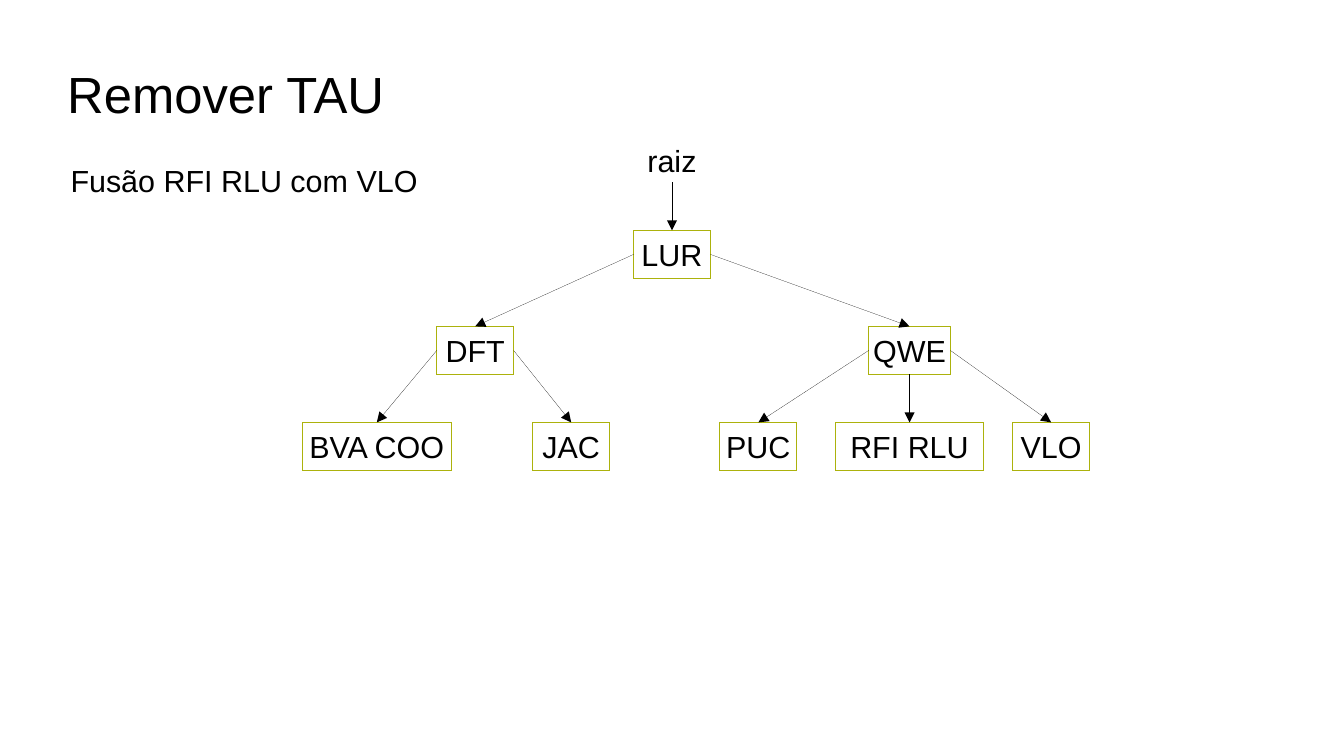
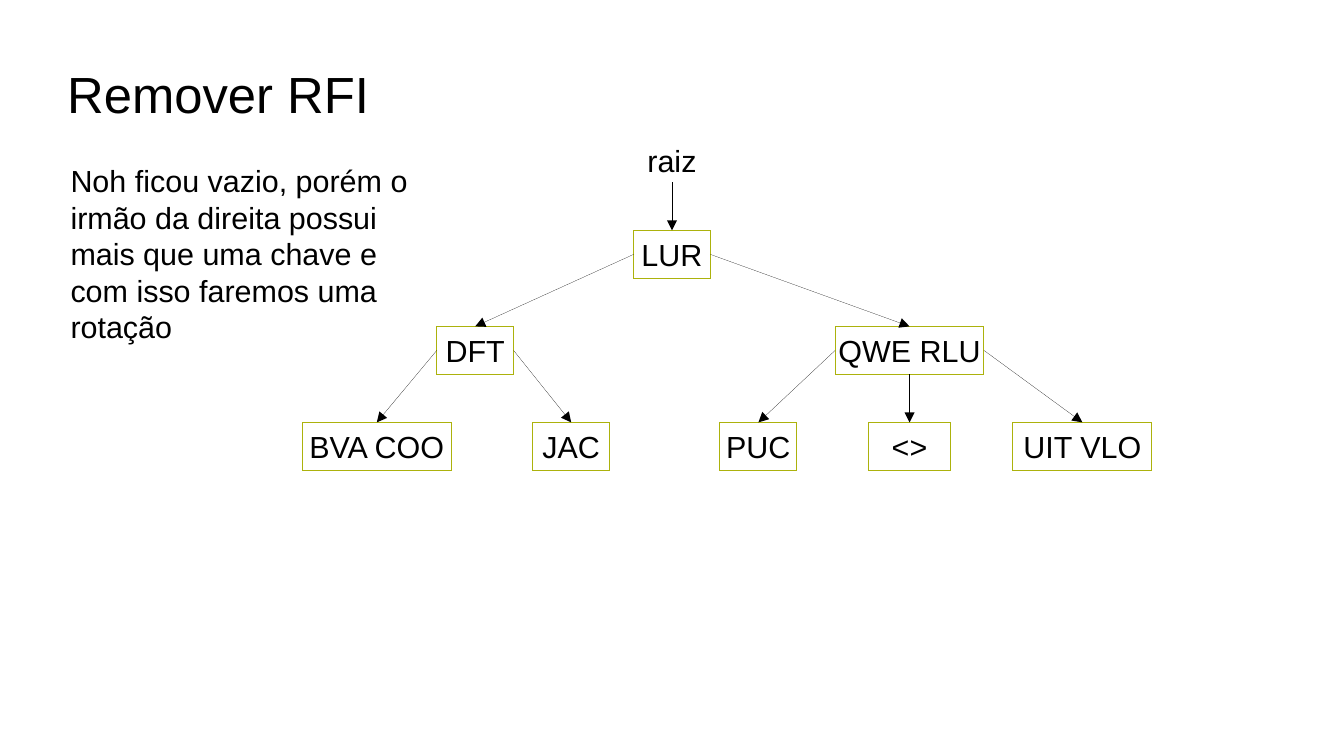
from dataclasses import dataclass

import lxml.etree
import pptx
import pptx.dml.color
import pptx.enum.shapes
import pptx.enum.text
import pptx.oxml.ns
import pptx.presentation
import pptx.shapes.autoshape
import pptx.slide
import pptx.text.text
import pptx.util

Cm = pptx.util.Cm
Alignment = pptx.enum.text.PP_ALIGN
Anchor = pptx.enum.text.MSO_ANCHOR
AutoSize = pptx.enum.text.MSO_AUTO_SIZE
Box = pptx.shapes.autoshape.Shape

COLORS = {"text": "000000", "node_fill": "FFFFFF", "node_line": "ACB20C", "arrow": "000000"}
FONT = "Arial"
TITLE_SIZE = 30
BODY_SIZE = 18
HAIRLINE = pptx.util.Pt(0.01)

NARROW = 1.6
MEDIUM = 1.7
WIDE = 3.1
NODE_HEIGHT = 1.0
ROOT_TOP = 4.8
LEVEL_STEP = 2.0
LABEL_WIDTH = 1.8
LABEL_HEIGHT = 0.96

TOP, LEFT, BOTTOM, RIGHT = range(4)


@dataclass(frozen=True)
class Node:
    keys: str
    center: float
    width: float = NARROW
    children: tuple["Node", ...] = ()


@dataclass(frozen=True)
class TreeSlide:
    title: str
    note: tuple[str, ...]
    note_width: float
    note_height: float
    root: Node


def rgb(name: str) -> pptx.dml.color.RGBColor:
    return pptx.dml.color.RGBColor.from_string(COLORS[name])


def write(frame: pptx.text.text.TextFrame, lines: tuple[str, ...], size: int,
          alignment: Alignment = Alignment.LEFT) -> None:
    for index, line in enumerate(lines):
        paragraph = frame.add_paragraph() if index else frame.paragraphs[0]
        paragraph.alignment = alignment
        run = paragraph.add_run()
        run.text = line
        run.font.name = FONT
        run.font.size = pptx.util.Pt(size)
        run.font.color.rgb = rgb("text")


def add_title(slide: pptx.slide.Slide, title: str) -> None:
    shape = slide.shapes.add_textbox(Cm(1.4), Cm(0.63), Cm(25.2), Cm(2.64))
    frame = shape.text_frame
    frame.word_wrap = True
    frame.vertical_anchor = Anchor.MIDDLE
    frame.margin_left = frame.margin_top = frame.margin_right = frame.margin_bottom = 0
    write(frame, (title,), TITLE_SIZE)


def add_label(slide: pptx.slide.Slide, lines: tuple[str, ...], left: float, top: float,
              width: float, height: float, alignment: Alignment = Alignment.LEFT) -> Box:
    shape = slide.shapes.add_textbox(Cm(left), Cm(top), Cm(width), Cm(height))
    frame = shape.text_frame
    frame.word_wrap = False
    frame.auto_size = AutoSize.SHAPE_TO_FIT_TEXT
    write(frame, lines, BODY_SIZE, alignment)
    return shape


def add_arrow(slide: pptx.slide.Slide, start: Box, side: int, end: Box) -> None:
    connector = slide.shapes.add_connector(pptx.enum.shapes.MSO_CONNECTOR.STRAIGHT, 0, 0, 0, 0)
    connector.begin_connect(start, side)
    connector.end_connect(end, TOP)
    connector.line.color.rgb = rgb("arrow")
    connector.line.width = HAIRLINE
    qualified = pptx.oxml.ns.qn
    properties = connector.element.spPr
    outline = properties.find(qualified("a:ln"))
    lxml.etree.SubElement(outline, qualified("a:tailEnd"), type="triangle")
    lxml.etree.SubElement(properties, qualified("a:effectLst"))


def add_node(slide: pptx.slide.Slide, node: Node, level: int) -> Box:
    shape = slide.shapes.add_shape(
        pptx.enum.shapes.MSO_SHAPE.RECTANGLE,
        Cm(node.center - node.width / 2), Cm(ROOT_TOP + level * LEVEL_STEP),
        Cm(node.width), Cm(NODE_HEIGHT))
    shape.shadow.inherit = False
    shape.fill.solid()
    shape.fill.fore_color.rgb = rgb("node_fill")
    shape.line.color.rgb = rgb("node_line")
    shape.line.width = HAIRLINE
    shape.text_frame.word_wrap = False
    shape.text_frame.vertical_anchor = Anchor.MIDDLE
    write(shape.text_frame, (node.keys,), BODY_SIZE, Alignment.CENTER)
    return shape


def side_towards(parent: Node, child: Node) -> int:
    if child.center == parent.center:
        return BOTTOM
    return LEFT if child.center < parent.center else RIGHT


def add_tree(slide: pptx.slide.Slide, node: Node, level: int = 0) -> Box:
    shape = add_node(slide, node, level)
    for child in node.children:
        child_shape = add_tree(slide, child, level + 1)
        add_arrow(slide, shape, side_towards(node, child), child_shape)
    return shape


def add_tree_slide(presentation: pptx.presentation.Presentation, content: TreeSlide) -> None:
    slide = presentation.slides.add_slide(presentation.slide_layouts[6])
    add_title(slide, content.title)
    root_shape = add_tree(slide, content.root)
    root_label = add_label(slide, ("raiz",), content.root.center - LABEL_WIDTH / 2,
                           ROOT_TOP - 1 - LABEL_HEIGHT, LABEL_WIDTH, LABEL_HEIGHT,
                           Alignment.CENTER)
    add_arrow(slide, root_label, BOTTOM, root_shape)
    add_label(slide, content.note, 1.22, 3.25, content.note_width, content.note_height)


def tree(right_branch: Node) -> Node:
    left_branch = Node("DFT", 9.9, children=(Node("BVA COO", 7.85, WIDE), Node("JAC", 11.9)))
    return Node("LUR", 14.0, children=(left_branch, right_branch))


SLIDES = (
    TreeSlide(
        "Remover TAU", ("Fusão RFI RLU com VLO",), 7.75, LABEL_HEIGHT,
        tree(Node("QWE", 18.95, MEDIUM, (
            Node("PUC", 15.8), Node("RFI RLU", 18.95, WIDE), Node("VLO", 21.9))))),
    TreeSlide(
        "Remover RFI",
        ("Noh ficou vazio, porém o", "irmão da direita possui", "mais que uma chave e",
         "com isso faremos uma", "rotação"), 7.7, 3.81,
        tree(Node("QWE RLU", 18.95, WIDE, (
            Node("PUC", 15.8), Node("<>", 18.95, MEDIUM), Node("UIT VLO", 22.55, 2.9))))),
)


def main() -> None:
    presentation = pptx.Presentation()
    presentation.slide_width = Cm(28)
    presentation.slide_height = Cm(15.75)
    for content in SLIDES:
        add_tree_slide(presentation, content)
    presentation.save("out.pptx")


if __name__ == "__main__":
    main()
